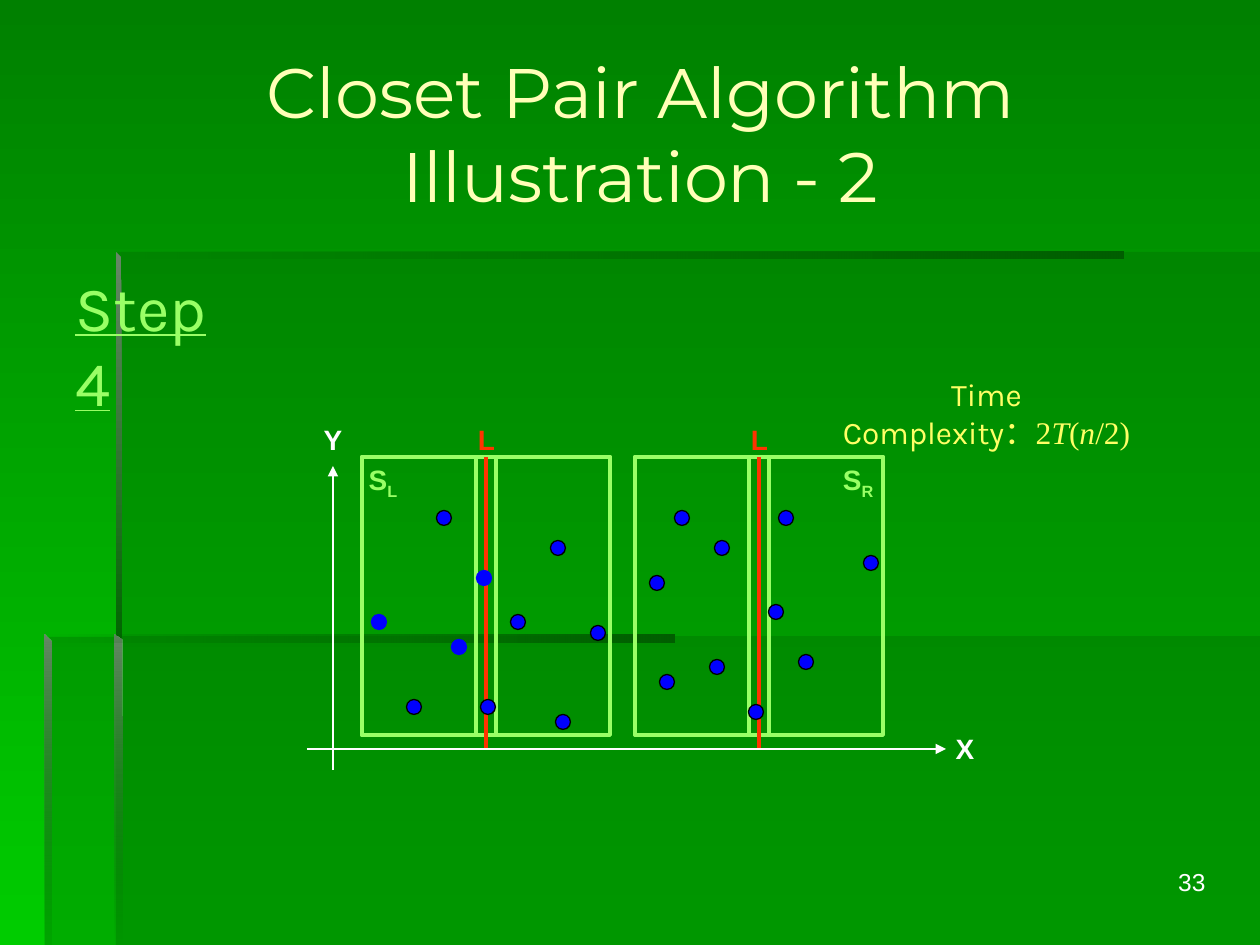
from lxml import etree
from pptx import Presentation
from pptx import util as u
from pptx.dml.color import RGBColor
from pptx.enum import shapes, text
from pptx.oxml.ns import qn

SCALE = 914400 / 126  # EMU per px
COLORS = {
    "top": "008000", "bottom": "00CC00", "panel": "006600", "edge": "005E00",
    "bevel": "668666", "title": "FFFFB7", "lime": "99FF66", "yellow": "FFFF66",
    "red": "FF3300", "white": "FFFFFF", "blue": "0000FF", "black": "000000",
}


def px(*lengths):
    return [round(length * SCALE) for length in lengths]


def write(content, shape=None, box=None, size=16, font="Arial", color="white",
          bold=None, align="CENTER", anchor="TOP", wrap=False, inset=None):
    """Fill a shape or a new text box with (text, format) runs."""
    shape = shape or slide.shapes.add_textbox(*px(*box))
    frame = shape.text_frame
    frame.word_wrap = wrap
    frame.auto_size = text.MSO_AUTO_SIZE.NONE
    frame.vertical_anchor = text.MSO_ANCHOR[anchor]
    if inset is not None:
        frame.margin_left = frame.margin_top = inset
        frame.margin_right = frame.margin_bottom = inset
    paragraph = frame.paragraphs[0]
    paragraph.alignment = text.PP_ALIGN[align]
    for words, extra in content:
        run = paragraph.add_run()
        run.text = words
        run.font.size = u.Pt(size)
        run.font.name = extra.get("font", font)
        run.font.bold = bold
        run.font.italic = extra.get("italic")
        run.font.underline = extra.get("underline")
        run.font.color.rgb = RGBColor.from_string(COLORS[color])
        if "baseline" in extra:
            run._r.get_or_add_rPr().set("baseline", str(extra["baseline"]))


presentation = Presentation()
presentation.slide_width, presentation.slide_height = px(1260, 945)
slide = presentation.slides.add_slide(presentation.slide_layouts[5])

background = slide.background.fill
background.gradient()
background.gradient_angle = 270
for stop, name in zip(background.gradient_stops, ("top", "bottom")):
    stop.color.rgb = RGBColor.from_string(COLORS[name])

# Backdrop: points, gradient angle, (colour, opacity %) of each stop
panel = [("panel", 30)]
fade_in = [("panel", 0), ("edge", 100)]
backdrop = [
    ([(116, 636), (116, 945), (1260, 945), (1260, 636)], None, panel),
    ([(118, 637), (45, 637), (45, 945), (1260, 945), (1260, 252), (118, 252)], None, panel),
    ([(116, 252), (116, 259), (1124, 259), (1124, 252)], 0, fade_in),
    ([(116, 252), (116, 643), (122, 643), (121, 257)], 270, [("bevel", 100), ("panel", 100)]),
    ([(115, 945), (122, 945), (121, 640), (115, 635)], 270, [("bevel", 100), ("panel", 0)]),
    ([(44, 635), (44, 642), (674, 642), (674, 635)], 0, fade_in),
    ([(44, 635), (44, 945), (51, 945), (51, 642)], 270, [("bevel", 100), ("panel", 10)]),
]
for points, angle, stops in backdrop:
    builder = slide.shapes.build_freeform(*points[0], scale=SCALE)
    builder.add_line_segments(points[1:])
    shape = builder.convert_to_shape()
    shape.shadow.inherit = False
    shape.line.fill.background()
    if angle is None:
        shape.fill.solid()
        targets = [shape.fill.fore_color]
    else:
        shape.fill.gradient()
        shape.fill.gradient_angle = angle
        targets = [stop.color for stop in shape.fill.gradient_stops]
    for target, (name, opacity) in zip(targets, stops):
        target.rgb = RGBColor.from_string(COLORS[name])
    for node, (name, opacity) in zip(shape._element.spPr.iter(qn("a:srgbClr")), stops):
        etree.SubElement(node, qn("a:alpha")).set("val", str(opacity * 1000))

title = slide.shapes.title
title.left, title.top, title.width, title.height = px(63, 34, 1155, 198)
write([("Closet Pair Algorithm Illustration - 2", {})], shape=title, size=40,
      font="Montserrat", color="title", anchor="MIDDLE", wrap=True)
write([("33", {})], box=(956, 861, 262, 66), size=14, align="RIGHT", wrap=True)
write([("Step 4", {"underline": True})], box=(63, 262, 203, 88), size=36,
      font="Karla", color="lime", align="LEFT", wrap=True)
serif = {"font": "Times New Roman"}
italic = {"font": "Times New Roman", "italic": True}
write([("Time Complexity：", {}), ("2", serif), ("T", italic), ("(", serif),
       ("n", italic), ("/2)", serif)],
      box=(795, 369, 383, 50), size=18, font="Karla", color="yellow", wrap=True)

# Each half: outer box, two strips beside the dividing line, labels
HALF_TOP, HALF_WIDTH, HALF_HEIGHT, STRIP_WIDTH = 457, 248, 278, 114
AXIS_Y = 749
lines = []
for left, side, label_left in ((362, "L", 367), (635, "R", 842)):
    middle = left + HALF_WIDTH // 2
    frames = []
    for x, width in ((left, HALF_WIDTH), (left, STRIP_WIDTH),
                     (left + HALF_WIDTH - STRIP_WIDTH, STRIP_WIDTH)):
        frame = slide.shapes.add_shape(shapes.MSO_SHAPE.RECTANGLE,
                                       *px(x, HALF_TOP, width, HALF_HEIGHT))
        frame.shadow.inherit = False
        frame.fill.background()
        frame.line.color.rgb = RGBColor.from_string(COLORS["lime"])
        frame.line.width = u.Pt(2.25)
        frames.append(frame)
    lines.append(((middle, HALF_TOP), (middle, AXIS_Y), "red", 2.25, frames[0]))
    write([("L", {})], box=(middle - 8, 423, 17, 34), color="red", bold=True, inset=0)
    write([("S", {}), (side, {"baseline": -25000})],
          box=(label_left, 463, 32, 34), color="lime", bold=True, inset=0)

lines.append(((333, 770), (333, 466), "white", 1.5, None))
lines.append(((307, AXIS_Y), (946, AXIS_Y), "white", 1.5, None))
for start, end, color, width, frame in lines:
    connector = slide.shapes.add_connector(shapes.MSO_CONNECTOR.STRAIGHT, *px(*start, *end))
    connector.line.color.rgb = RGBColor.from_string(COLORS[color])
    connector.line.width = u.Pt(width)
    if frame is not None:
        connector.begin_connect(frame, 0)
    else:
        arrow = etree.SubElement(connector.line._get_or_add_ln(), qn("a:tailEnd"))
        arrow.set("type", "triangle")
    etree.SubElement(connector._element.spPr, qn("a:effectLst"))

for name, left, top in (("Y", 324, 423), ("X", 956, 732)):
    write([(name, {})], box=(left, top, 18, 34), bold=True, inset=0)

DOT = 15
blue_edged = [(379, 622), (484, 578), (459, 647)]
black_edged = [
    (444, 518), (558, 548), (414, 707), (488, 707), (563, 722), (518, 622),
    (598, 633), (667, 682), (682, 518), (657, 583), (717, 667), (756, 712),
    (806, 662), (776, 612), (722, 548), (786, 518), (871, 563),
]
for edge, centers in (("blue", blue_edged), ("black", black_edged)):
    for x, y in centers:
        dot = slide.shapes.add_shape(shapes.MSO_SHAPE.OVAL,
                                     *px(x - DOT / 2, y - DOT / 2, DOT, DOT))
        dot.shadow.inherit = False
        dot.fill.solid()
        dot.fill.fore_color.rgb = RGBColor.from_string(COLORS["blue"])
        dot.line.color.rgb = RGBColor.from_string(COLORS[edge])
        dot.line.width = u.Pt(0)

presentation.save("out.pptx")
